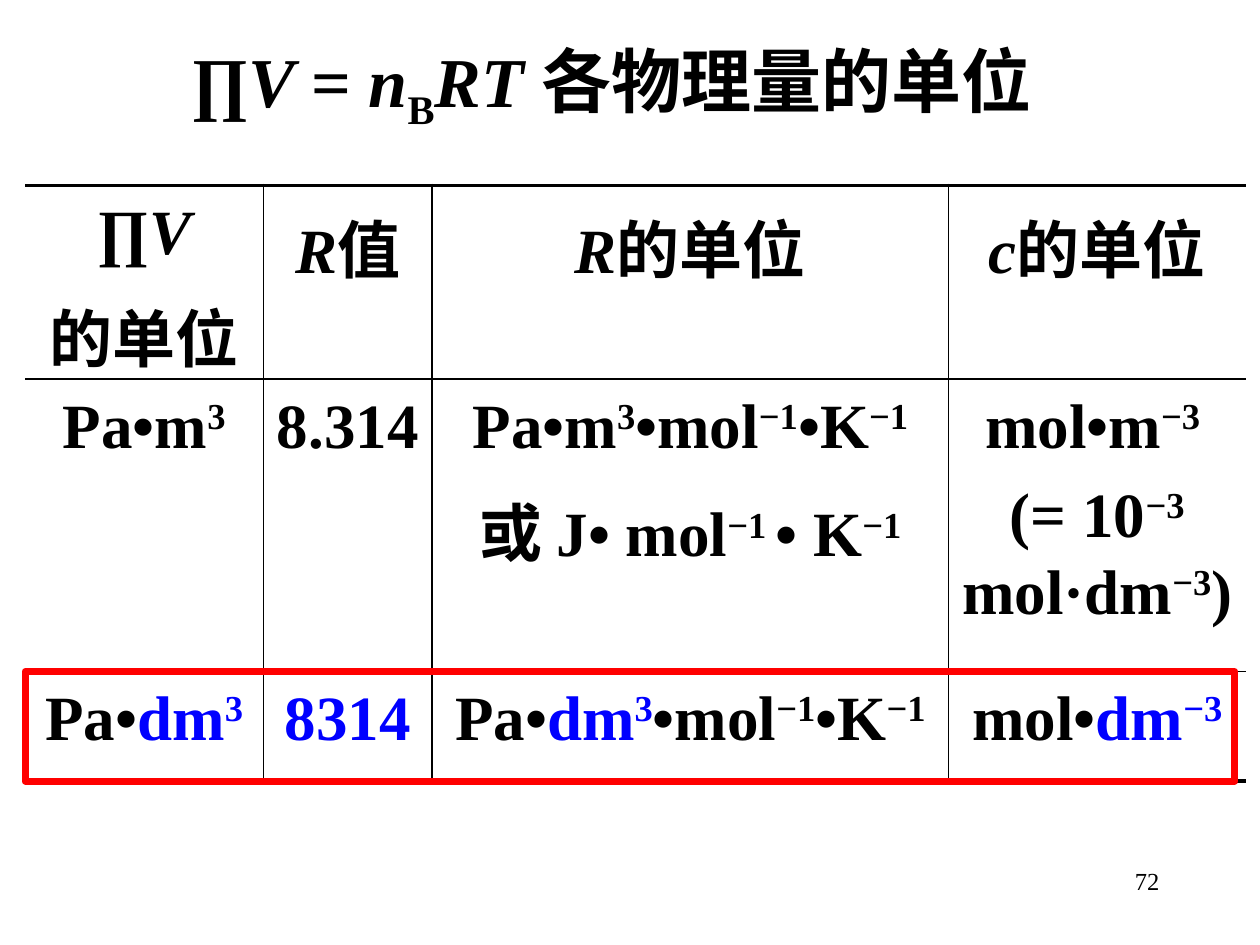
"""Build a slide with a table of units for the osmotic pressure equation."""
from dataclasses import dataclass

from lxml import etree
from pptx import Presentation
from pptx.dml.color import RGBColor
from pptx.enum.shapes import MSO_SHAPE
from pptx.enum.text import MSO_ANCHOR, PP_ALIGN
from pptx.oxml.ns import qn
from pptx.util import Inches, Pt

RECT = MSO_SHAPE.RECTANGLE
CENTER, RIGHT = PP_ALIGN.CENTER, PP_ALIGN.RIGHT
TOP, MIDDLE = MSO_ANCHOR.TOP, MSO_ANCHOR.MIDDLE

FONT = "Times New Roman"
BLACK, WHITE, BLUE, RED = "000000", "FFFFFF", "0000FF", "FF0000"
WIDTH, HEIGHT = 10, 7.5
LEFT, TABLE_TOP = 0.02 * WIDTH, 1.47
COLS = [1.89, 1.34, 4.1, 2.36]
ROWS = [1.54, 2.32, 0.87]
THIN, THICK = 1, 2.25


@dataclass(frozen=True)
class Run:
    """A stretch of text with its italics, baseline shift and colour."""
    text: str
    italic: bool = False
    base: int = 0
    color: str = BLACK


def var(text: str) -> Run:
    """Return an italic quantity symbol."""
    return Run(text, italic=True)


def sup(text: str, color: str = BLACK) -> Run:
    """Return a superscript."""
    return Run(text, base=30, color=color)


def blue(text: str) -> Run:
    """Return a highlighted run."""
    return Run(text, color=BLUE)


PER_MOL_K = [Run("•mol"), sup("−1"), Run("•K"), sup("−1")]
TITLE = [var("∏V "), Run("= "), var("n"), Run("B", base=-25), var("RT "), Run("各物理量的单位")]
CELLS = [
    [
        [[var("∏V")], [Run("的单位")]],
        [[var("R"), Run("值")]],
        [[var("R"), Run("的单位")]],
        [[var("c"), Run("的单位")]],
    ],
    [
        [[Run("Pa•m"), sup("3")]],
        [[Run("8.314")]],
        [[Run("Pa•m"), sup("3"), *PER_MOL_K],
         [Run("或 J• mol"), sup("−1 "), Run("• K"), sup("−1")]],
        [[Run("mol•m"), sup("−3 ")],
         [Run("(= 10"), sup("−3"), Run(" mol·dm"), sup("−3"), Run(")")]],
    ],
    [
        [[Run("Pa•"), blue("dm"), sup("3", BLUE)]],
        [[blue("8314")]],
        [[Run("Pa•"), blue("dm"), sup("3", BLUE), *PER_MOL_K]],
        [[Run("mol•"), blue("dm"), sup("−3", BLUE)]],
    ],
]


def rgb(color: str) -> RGBColor:
    """Turn a hex string into a colour."""
    return RGBColor.from_string(color)


def write(p, runs: list[Run], size: float, align, bold: bool = True, before: int = 0) -> None:
    """Fill a paragraph with runs, with space before it in percent."""
    p.alignment = align
    p.space_before = Pt(0)
    if before:
        spacing = p._p.pPr.find(qn("a:spcBef"))
        spacing.remove(spacing[0])
        etree.SubElement(spacing, qn("a:spcPct"), val=str(before * 1000))
    for run in runs:
        r = p.add_run()
        r.text = run.text
        r.font.name, r.font.size = FONT, Pt(size)
        r.font.bold, r.font.italic = bold, run.italic
        r.font.color.rgb = rgb(run.color)
        if run.base:
            r.font._element.set("baseline", str(run.base * 1000))


def add_text(s, box: tuple, runs: list[Run], size: float, align, anchor, bold: bool) -> None:
    """Add a one-paragraph text box placed by shares of the slide."""
    x, y, w, h = box
    sp = s.shapes.add_textbox(Inches(x * WIDTH), Inches(y * HEIGHT),
                              Inches(w * WIDTH), Inches(h * HEIGHT))
    tf = sp.text_frame
    tf.word_wrap = True
    tf.vertical_anchor = anchor
    write(tf.paragraphs[0], runs, size, align, bold)


def set_border(cell, side: str, width: float) -> None:
    """Draw one side of a cell, or hide it when the width is zero."""
    ln = etree.SubElement(cell._tc.get_or_add_tcPr(), qn(f"a:ln{side}"), w=str(Pt(width)))
    if width:
        fill = etree.SubElement(ln, qn("a:solidFill"))
        etree.SubElement(fill, qn("a:srgbClr"), val=BLACK)
    else:
        etree.SubElement(ln, qn("a:noFill"))


def add_units_table(s) -> None:
    """Add the table, open at its sides and ruled thickly above and below."""
    table = s.shapes.add_table(len(ROWS), len(COLS), Inches(LEFT), Inches(TABLE_TOP),
                               Inches(sum(COLS)), Inches(sum(ROWS))).table
    table.first_row = table.horz_banding = False
    for column, width in zip(table.columns, COLS):
        column.width = Inches(width)
    for i, (row, height) in enumerate(zip(table.rows, ROWS)):
        row.height = Inches(height)
        for j, cell in enumerate(row.cells):
            set_border(cell, "L", THIN if j else 0)
            set_border(cell, "R", THIN if j < len(COLS) - 1 else 0)
            set_border(cell, "T", THIN if i else THICK)
            set_border(cell, "B", THIN if i < len(ROWS) - 1 else THICK)
            cell.fill.solid()
            cell.fill.fore_color.rgb = rgb(WHITE)
            tf = cell.text_frame
            for k, runs in enumerate(CELLS[i][j]):
                p = tf.add_paragraph() if k else tf.paragraphs[0]
                p.line_spacing = 1.1
                write(p, runs, 36, CENTER, before=20)


def add_row_frame(s) -> None:
    """Frame the last table row in red."""
    sp = s.shapes.add_shape(RECT, Inches(LEFT), Inches(TABLE_TOP + sum(ROWS[:-1])),
                            Inches(0.96 * WIDTH), Inches(ROWS[-1]))
    sp.shadow.inherit = False
    sp.fill.background()
    sp.line.color.rgb = rgb(RED)
    sp.line.width = Pt(4)


def main() -> None:
    """Build and save the slide."""
    prs = Presentation()
    prs.slide_width, prs.slide_height = Inches(WIDTH), Inches(HEIGHT)
    s = prs.slides.add_slide(prs.slide_layouts[6])
    add_text(s, (0.72, 0.91, 0.21, 0.07), [Run("72")], 14, RIGHT, TOP, False)
    add_text(s, (0.03, 0.04, 0.91, 0.1), TITLE, 40, CENTER, MIDDLE, True)
    add_units_table(s)
    add_row_frame(s)
    prs.save("out.pptx")


if __name__ == "__main__":
    main()
